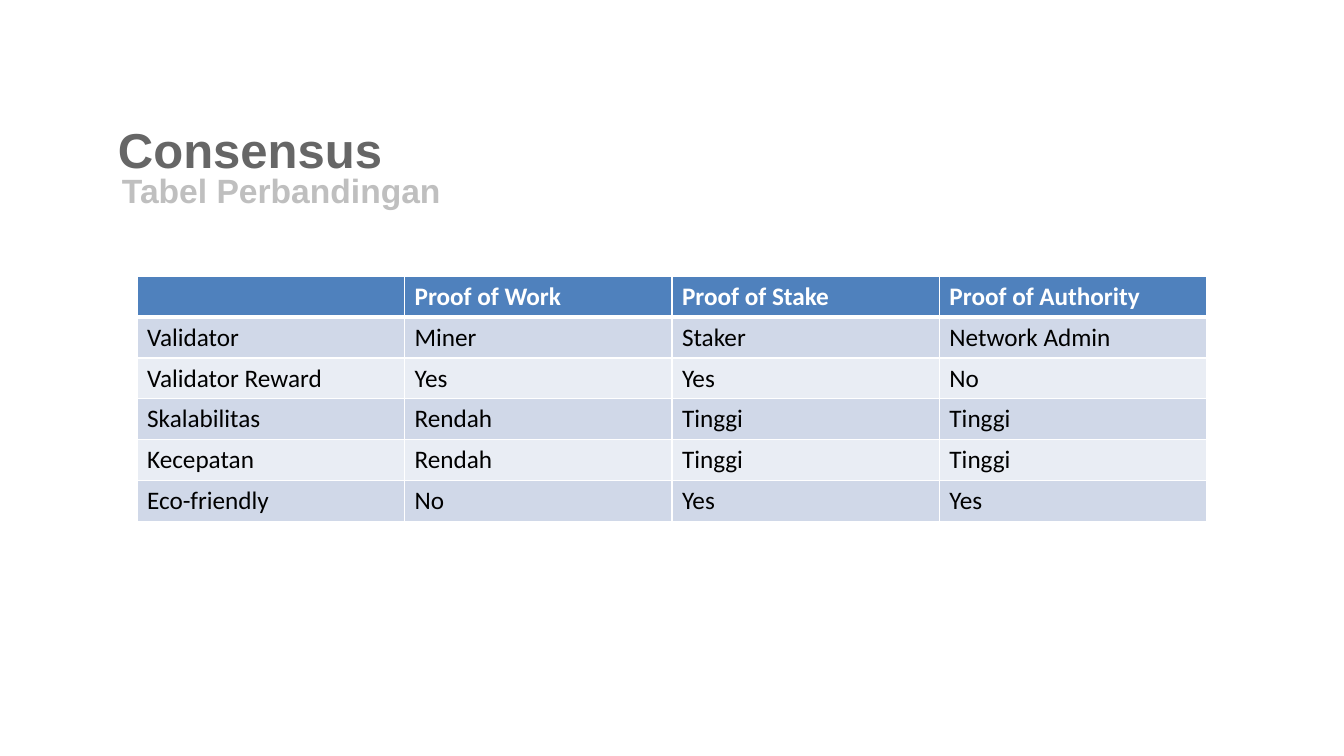
from lxml.etree import SubElement
from pptx import Presentation
from pptx.dml.color import RGBColor
from pptx.enum.text import MSO_ANCHOR, MSO_AUTO_SIZE, PP_ALIGN
from pptx.oxml.ns import qn
from pptx.util import Inches, Pt

HEADER = ["", "Proof of Work", "Proof of Stake", "Proof of Authority"]
ROWS = [
    ["Validator", "Miner", "Staker", "Network Admin"],
    ["Validator Reward", "Yes", "Yes", "No"],
    ["Skalabilitas", "Rendah", "Tinggi", "Tinggi"],
    ["Kecepatan", "Rendah", "Tinggi", "Tinggi"],
    ["Eco-friendly", "No", "Yes", "Yes"],
]


def rgb(value):
    """Turn a hex string into a colour."""
    return RGBColor.from_string(value)


def write(tf, text, size=18, font="Calibri", color="000000", bold=False):
    """Put one formatted, left-aligned run in a text frame."""
    p = tf.paragraphs[0]
    p.alignment = PP_ALIGN.LEFT
    if text:
        r = p.add_run()
        r.text = text
        r.font.size = Pt(size)
        r.font.name = font
        r.font.bold = bold
        r.font.color.rgb = rgb(color)


def place(sp, left, top, width, height):
    """Move a shape to its box and set the frame it holds text in."""
    sp.left, sp.top = Inches(left), Inches(top)
    sp.width, sp.height = Inches(width), Inches(height)
    tf = sp.text_frame
    tf.word_wrap = True
    tf.auto_size = MSO_AUTO_SIZE.NONE
    tf.vertical_anchor = MSO_ANCHOR.TOP
    tf.margin_left = tf.margin_right = tf.margin_bottom = 0
    tf.margin_top = Inches(0.02)
    return tf


def add_heading(s, left, top, width, height):
    """Place the title and the subtitle that follows it."""
    tf = place(s.shapes.title, left, top, width, height)
    write(tf, "Consensus", size=35, font="Arial", color="666666", bold=True)
    sp = s.shapes.add_textbox(0, 0, 0, 0)
    tf = place(sp, left + 0.04, top + 0.5, width - 0.08, height)
    write(tf, "Tabel Perbandingan", size=24, font="Arial", color="BFBFBF", bold=True)


def add_borders(cell, top=1, bottom=1):
    """Draw white lines around a cell, with widths in points."""
    tcPr = cell._tc.get_or_add_tcPr()
    for side, width in (("L", 1), ("R", 1), ("T", top), ("B", bottom)):
        ln = SubElement(tcPr, qn(f"a:ln{side}"), w=str(Pt(width)))
        fill = SubElement(ln, qn("a:solidFill"))
        SubElement(fill, qn("a:srgbClr"), val="FFFFFF")


def add_comparison(s, left, top, width, height):
    """Place the comparison table with its header and banded rows."""
    rows = [HEADER] + ROWS
    table = s.shapes.add_table(
        len(rows), len(HEADER), Inches(left), Inches(top), Inches(width), Inches(height)
    ).table
    for i, texts in enumerate(rows):
        header = i == 0
        band = "4F81BD" if header else "D0D8E8" if i % 2 else "E9EDF4"
        for j, text in enumerate(texts):
            cell = table.cell(i, j)
            add_borders(cell, top=3 if i == 1 else 1, bottom=3 if header else 1)
            cell.fill.solid()
            cell.fill.fore_color.rgb = rgb(band)
            color = "FFFFFF" if header else "000000"
            write(cell.text_frame, text, color=color, bold=header)


def main():
    """Build the slide and save it."""
    prs = Presentation()
    prs.slide_width, prs.slide_height = Inches(13.33), Inches(7.5)
    s = prs.slides.add_slide(prs.slide_layouts[5])
    add_heading(s, 1.17, 1.17, 7.5, 0.58)
    add_comparison(s, 1.36, 2.74, 10.61, 2.43)
    prs.save("out.pptx")


if __name__ == "__main__":
    main()
